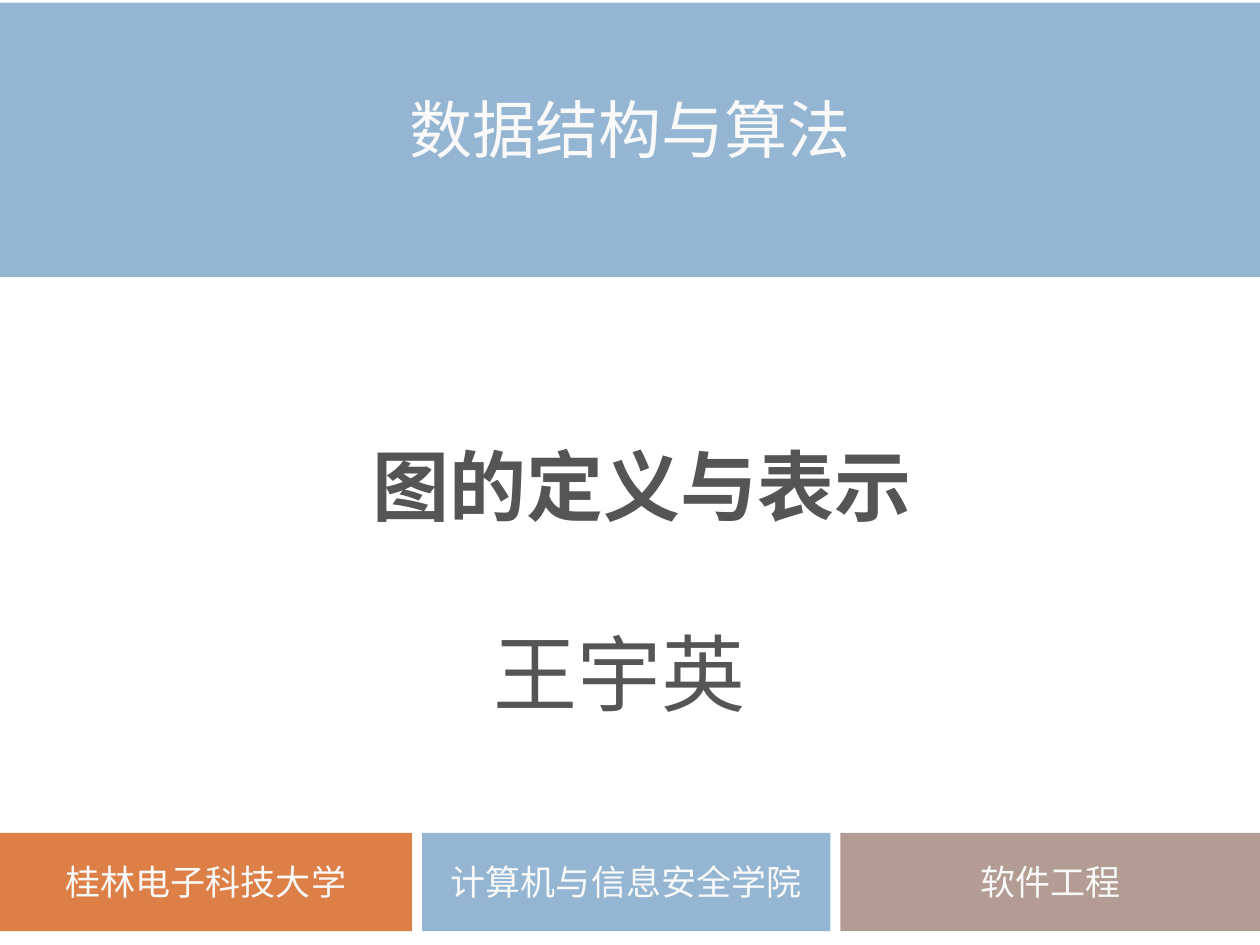
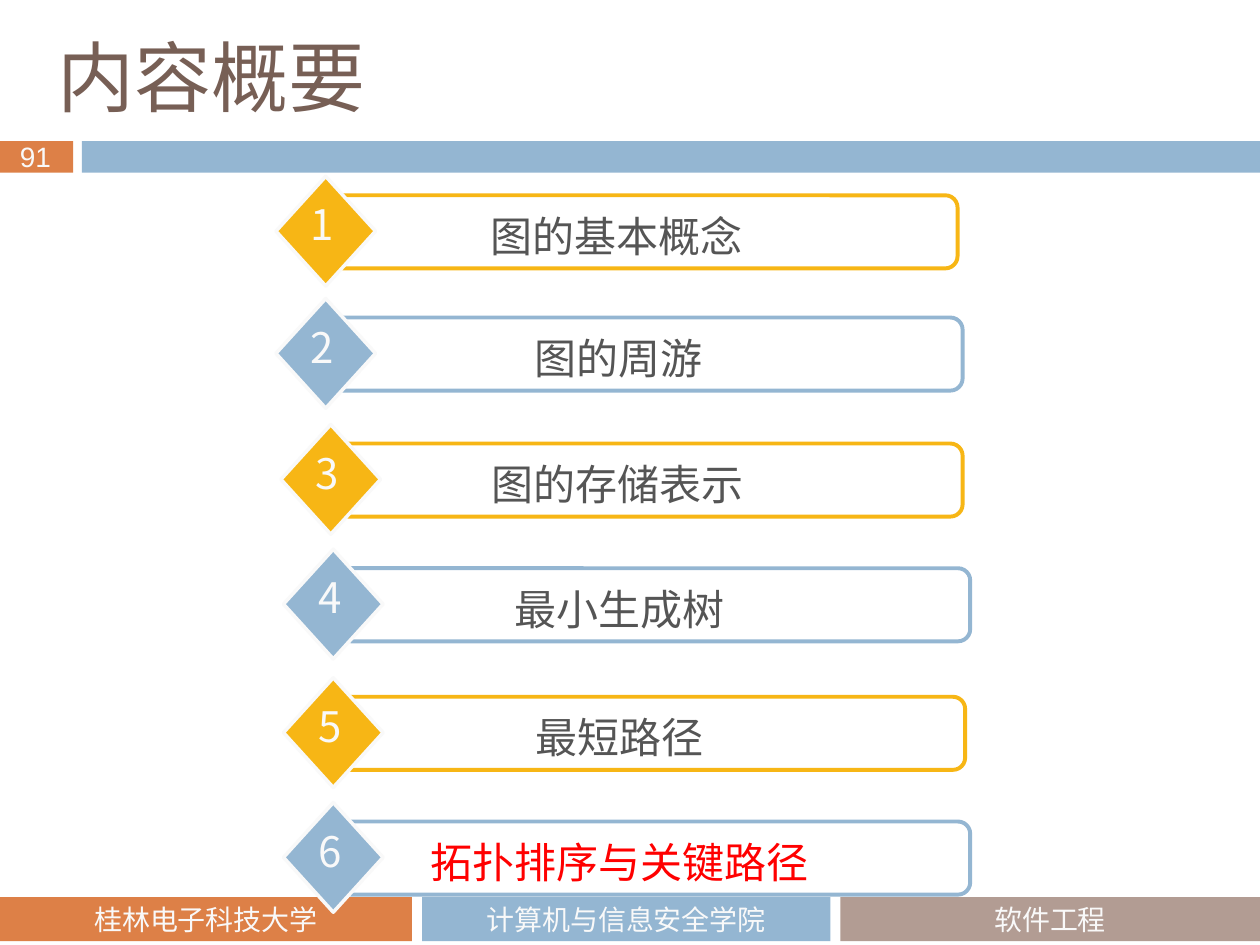
import pptx
import pptx.util
import pptx.dml.color
import pptx.enum.shapes
import pptx.enum.text
import pptx.oxml.ns
import lxml.etree

Inches, Pt = pptx.util.Inches, pptx.util.Pt
Kind = pptx.enum.shapes.MSO_SHAPE
Align = pptx.enum.text.PP_ALIGN
Anchor = pptx.enum.text.MSO_ANCHOR

# Shared looks
hues = {"orange": "DD8047", "blue": "94B6D2", "mauve": "B29C93",
        "gold": "F7B615", "brown": "775F55", "gray": "555555",
        "pale": "F9F9F9", "red": "FF0000"}
noto = "Noto Sans CJK SC"
footer = [(0, 3.27, "orange", "桂林电子科技大学"),
          (3.35, 3.24, "blue", "计算机与信息安全学院"),
          (6.67, 3.33, "mauve", "软件工程")]


def draw(slide, kind, box, fill=None, line=None, width=2.25):
    """Add a preset shape, or a text box when kind is None."""
    place = [Inches(v) for v in box]
    if kind is None:
        return slide.shapes.add_textbox(*place)
    shape = slide.shapes.add_shape(kind, *place)
    shape.shadow.inherit = False
    for part, hue in ((shape.fill, fill), (shape.line.fill, line)):
        if hue:
            part.solid()
            part.fore_color.rgb = pptx.dml.color.RGBColor.from_string(hues[hue])
        else:
            part.background()
    if line:
        shape.line.width = Pt(width)
    return shape


def write(shape, text, size, hue, face=noto, bold=False,
          align=Align.CENTER, anchor=Anchor.MIDDLE, wrap=True):
    """Put one formatted line of text in a shape."""
    frame = shape.text_frame
    frame.word_wrap = wrap
    frame.vertical_anchor = anchor
    para = frame.paragraphs[0]
    para.alignment = align
    run = para.add_run()
    run.text = text
    look = {"size": Pt(size), "name": face, "bold": bold}
    for key, value in look.items():
        setattr(run.font, key, value)
    run.font.color.rgb = pptx.dml.color.RGBColor.from_string(hues[hue])
    east = lxml.etree.SubElement(run.font._element, pptx.oxml.ns.qn("a:ea"))
    east.set("typeface", face if face.startswith("Noto") else noto)
    return para


deck = pptx.Presentation()
deck.slide_width, deck.slide_height = Inches(10), Inches(7.5)
blank = deck.slide_layouts[6]
cover, outline = [deck.slides.add_slide(blank) for _ in range(2)]

# Footer: tall on the cover, slim on the outline
for slide, top, height, size in ((cover, 6.61, 0.78, 20),
                                 (outline, 7.12, 0.35, 16)):
    for left, width, hue, text in footer:
        band = draw(slide, Kind.RECTANGLE, (left, top, width, height), hue)
        write(band, text, size, "pale", "Calibri")

# Cover: course band, topic and teacher
course = draw(cover, Kind.RECTANGLE, (0, 0.02, 10, 2.18), "blue")
para = write(course, "数据结构与算法", 36, "pale", "Times New Roman")
para.line_spacing = Pt(30)
topic = draw(cover, None, (0.71, 3.4, 8.77, 0.9))
write(topic, "图的定义与表示", 44, "gray", bold=True)
teacher = draw(cover, None, (2.94, 4.88, 3.96, 0.91))
write(teacher, "王宇英", 48, "gray", "Noto Sans CJK JP", anchor=Anchor.TOP)

# Outline: title, bands and page number
title = draw(outline, None, (0.36, 0.27, 5.67, 0.66))
write(title, "内容概要", 44, "brown", "Noto Sans CJK JP", align=Align.LEFT)
for left, width, hue in ((0, 0.58, "orange"), (0.65, 9.35, "blue")):
    draw(outline, Kind.RECTANGLE, (left, 1.12, width, 0.25), hue)
page = draw(outline, None, (0.06, 1.06, 0.48, 0.37))
write(page, "91", 16, "pale", "Arial", align=Align.LEFT,
      anchor=Anchor.TOP, wrap=False)

# Outline: left, top, text, text nudge and text colour of each topic
topics = [(2.63, 1.55, "图的基本概念", 0.03, "gray"),
          (2.63, 2.52, "图的周游", 0.05, "gray"),
          (2.67, 3.52, "图的存储表示", 0, "gray"),
          (2.69, 4.51, "最小生成树", 0, "gray"),
          (2.69, 5.53, "最短路径", 0, "gray"),
          (2.69, 6.52, "拓扑排序与关键路径", 0, "red")]
for num, (left, top, text, nudge, ink) in enumerate(topics, 1):
    hue, width = ("gold", 4.97) if num % 2 else ("blue", 5.01)
    frame = draw(outline, Kind.ROUNDED_RECTANGLE, (left, top, width, 0.58),
                 line=hue)
    frame.adjustments[0] = 0.167
    draw(outline, Kind.DIAMOND, (left - 0.44, top - 0.15, 0.79, 0.87),
         hue, "pale", 2)
    label = draw(outline, None, (left + 0.26 + nudge, top + 0.07, 3.94, 0.5))
    write(label, text, 24, ink, anchor=Anchor.TOP)
    digit = draw(outline, None, (left - 0.26, top - 0.02, 0.37, 0.5))
    write(digit, str(num), 24, "pale", anchor=Anchor.TOP, wrap=False)

deck.save("out.pptx")
